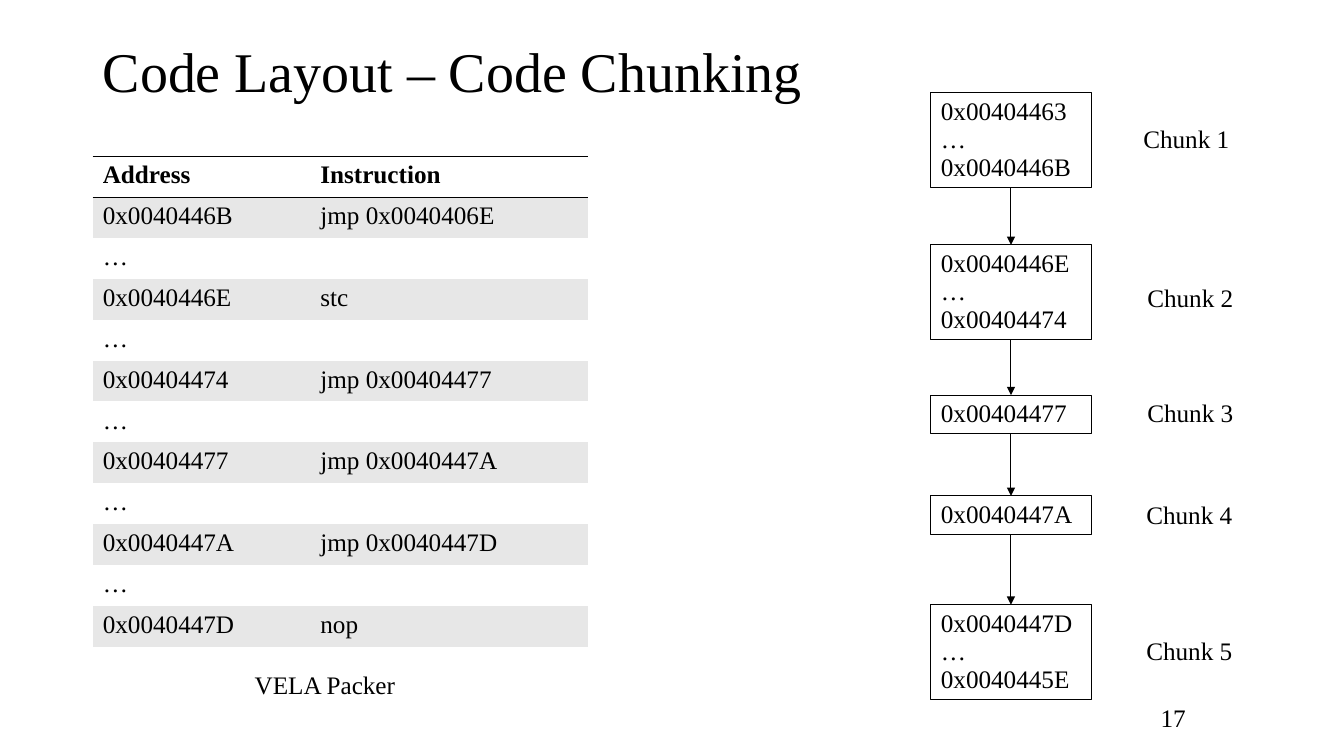
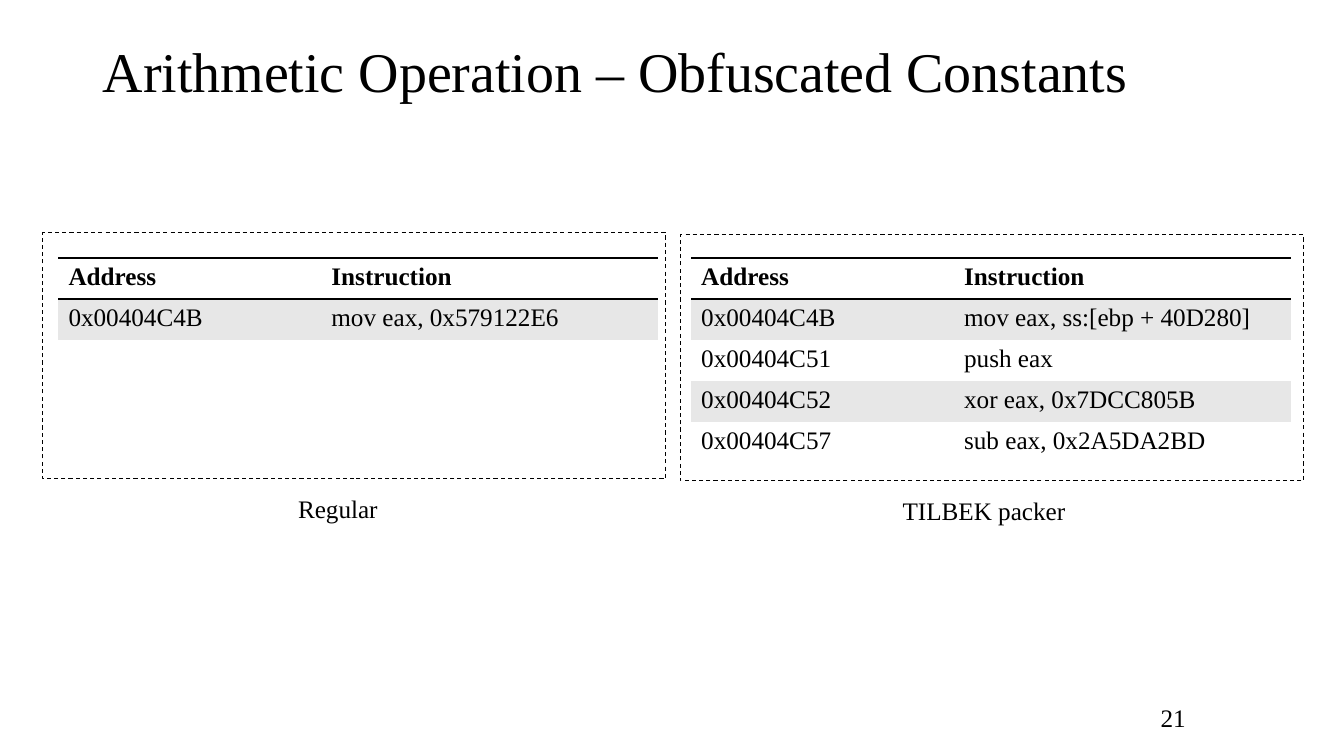
import lxml.etree
import pptx
import pptx.dml.color
import pptx.enum.dml
import pptx.enum.shapes
import pptx.enum.text
import pptx.oxml.ns
import pptx.util

Inches = pptx.util.Inches
Pt = pptx.util.Pt
RGB = pptx.dml.color.RGBColor
ALIGN = pptx.enum.text.PP_ALIGN
ANCHOR = pptx.enum.text.MSO_ANCHOR
SHAPE = pptx.enum.shapes.MSO_SHAPE
qn = pptx.oxml.ns.qn


class Theme:
    font = "Times New Roman"
    ink = RGB(0, 0, 0)
    paper = RGB(255, 255, 255)
    band = RGB(0xE7, 0xE7, 0xE7)
    head = Pt(40)
    body = Pt(18)
    line = Pt(0.75)
    rule = Pt(0.96)
    row = 4.87 / 12
    plain = "{2D5ABB26-0587-4C30-8999-92F81FD0307C}"  # table style without grid


def write(frame, text, size=Theme.body, align=ALIGN.LEFT, space=0.93,
          bold=False, anchor=ANCHOR.TOP):
    frame.text = text
    frame.word_wrap = True
    frame.vertical_anchor = anchor
    for para in frame.paragraphs:
        para.alignment = align
        para.line_spacing = space
        for run in para.runs:
            run.font.name = Theme.font
            run.font.size = size
            run.font.bold = bold
            run.font.color.rgb = Theme.ink


def grid(slide, left, top, cols, rows):
    rows = [("Address", "Instruction")] + rows
    frame = slide.shapes.add_table(
        len(rows), len(cols), Inches(left), Inches(top),
        Inches(sum(cols)), Inches(Theme.row * len(rows)))
    table = frame.table
    table.horz_banding = False
    frame._element.find(".//" + qn("a:tableStyleId")).text = Theme.plain
    for col, width in zip(table.columns, cols):
        col.width = Inches(width)
    for r, row in enumerate(rows):
        table.rows[r].height = Inches(Theme.row)
        for c, text in enumerate(row):
            cell = table.cell(r, c)
            write(cell.text_frame, text, space=1.0, bold=r == 0)
            # Only the first two rules, around the header row, are inked
            props = cell._tc.get_or_add_tcPr()
            for side, rule in (("lnT", r), ("lnB", r + 1)):
                edge = lxml.etree.SubElement(
                    props, qn("a:" + side), w=str(int(Theme.rule)))
                if rule < 2:
                    fill = lxml.etree.SubElement(edge, qn("a:solidFill"))
                    lxml.etree.SubElement(
                        fill, qn("a:srgbClr"), val=str(Theme.ink))
                else:
                    lxml.etree.SubElement(edge, qn("a:noFill"))
            cell.fill.solid()
            cell.fill.fore_color.rgb = Theme.band if r % 2 else Theme.paper


deck = pptx.Presentation()
deck.slide_width = Inches(13.34)
deck.slide_height = Inches(7.5)

# Titles and page numbers
slides = []
for title, page in [("Code Layout – Code Chunking", "17"),
                    ("Arithmetic Operation – Obfuscated Constants", "21")]:
    slide = deck.slides.add_slide(deck.slide_layouts[5])
    slides.append(slide)
    head = slide.shapes.title
    head.left, head.top = Inches(0.92), Inches(0.4)
    head.width, head.height = Inches(11.5), Inches(0.68)
    head.text_frame.auto_size = pptx.enum.text.MSO_AUTO_SIZE.NONE
    write(head.text_frame, title, Theme.head, space=0.9, anchor=ANCHOR.MIDDLE)
    foot = slide.shapes.add_textbox(
        Inches(9.42), Inches(6.95), Inches(3), Inches(0.4))
    foot.text_frame.margin_left = Inches(2.1)
    write(foot.text_frame, page)
chunks, consts = slides

# Slide 1: instruction table
grid(chunks, 0.92, 1.55, [2.16, 2.76], [
    ("0x0040446B", "jmp 0x0040406E"),
    ("…", ""),
    ("0x0040446E", "stc"),
    ("…", ""),
    ("0x00404474", "jmp 0x00404477"),
    ("…", ""),
    ("0x00404477", "jmp 0x0040447A"),
    ("…", ""),
    ("0x0040447A", "jmp 0x0040447D"),
    ("…", ""),
    ("0x0040447D", "nop"),
])

# Slide 1: chain of chunks, each with its label and an arrow from the last
last = None
labels = [(2.33, 6.62, 1.79, "VELA Packer")]
for num, (top, high, text, left, mid) in enumerate([
    (0.92, 0.94, "0x00404463\n…\n0x0040446B", 11.22, 1.2),
    (2.43, 0.94, "0x0040446E\n…\n0x00404474", 11.26, 2.78),
    (3.92, 0.38, "0x00404477", 11.26, 3.92),
    (4.92, 0.38, "0x0040447A", 11.25, 4.93),
    (6.0, 0.94, "0x0040447D\n…\n0x0040445E", 11.25, 6.28),
], 1):
    box = chunks.shapes.add_shape(
        SHAPE.RECTANGLE, Inches(9.24), Inches(top), Inches(1.59), Inches(high))
    box.shadow.inherit = False
    box.fill.background()
    box.line.color.rgb = Theme.ink
    box.line.width = Theme.line
    write(box.text_frame, text)
    labels.append((left, mid, 1.11, f"Chunk {num}"))
    if last is not None:
        link = chunks.shapes.add_connector(
            pptx.enum.shapes.MSO_CONNECTOR.STRAIGHT, 0, 0, 0, 0)
        link.begin_connect(last, 2)
        link.end_connect(box, 0)
        link.line.color.rgb = Theme.ink
        link.line.width = Theme.line
        props = link._element.spPr
        lxml.etree.SubElement(
            props.find(qn("a:ln")), qn("a:tailEnd"), type="triangle")
        lxml.etree.SubElement(props, qn("a:effectLst"))
    last = box

for left, top, width, text in labels:
    label = chunks.shapes.add_textbox(
        Inches(left), Inches(top), Inches(width), Inches(0.38))
    write(label.text_frame, text, align=ALIGN.CENTER)

# Slide 2: two framed tables with captions
for left, rows, edge, top, start, width, text in [
    (0.58, [("0x00404C4B", "mov eax, 0x579122E6")],
     0.42, 2.31, 2.86, 1.03, "Regular"),
    (6.86, [("0x00404C4B", "mov eax, ss:[ebp + 40D280]"),
            ("0x00404C51", "push eax"),
            ("0x00404C52", "xor eax, 0x7DCC805B"),
            ("0x00404C57", "sub eax, 0x2A5DA2BD")],
     6.75, 2.33, 8.86, 1.92, "TILBEK packer"),
]:
    grid(consts, left, 2.56, [2.61, 3.34], rows)
    pane = consts.shapes.add_shape(
        SHAPE.RECTANGLE, Inches(edge), Inches(top), Inches(6.19), Inches(2.44))
    pane.shadow.inherit = False
    pane.fill.background()
    pane.line.color.rgb = Theme.ink
    pane.line.width = Theme.line
    pane.line.dash_style = pptx.enum.dml.MSO_LINE.DASH
    label = consts.shapes.add_textbox(
        Inches(start), Inches(top + 2.56), Inches(width), Inches(0.38))
    write(label.text_frame, text)

deck.save("out.pptx")
